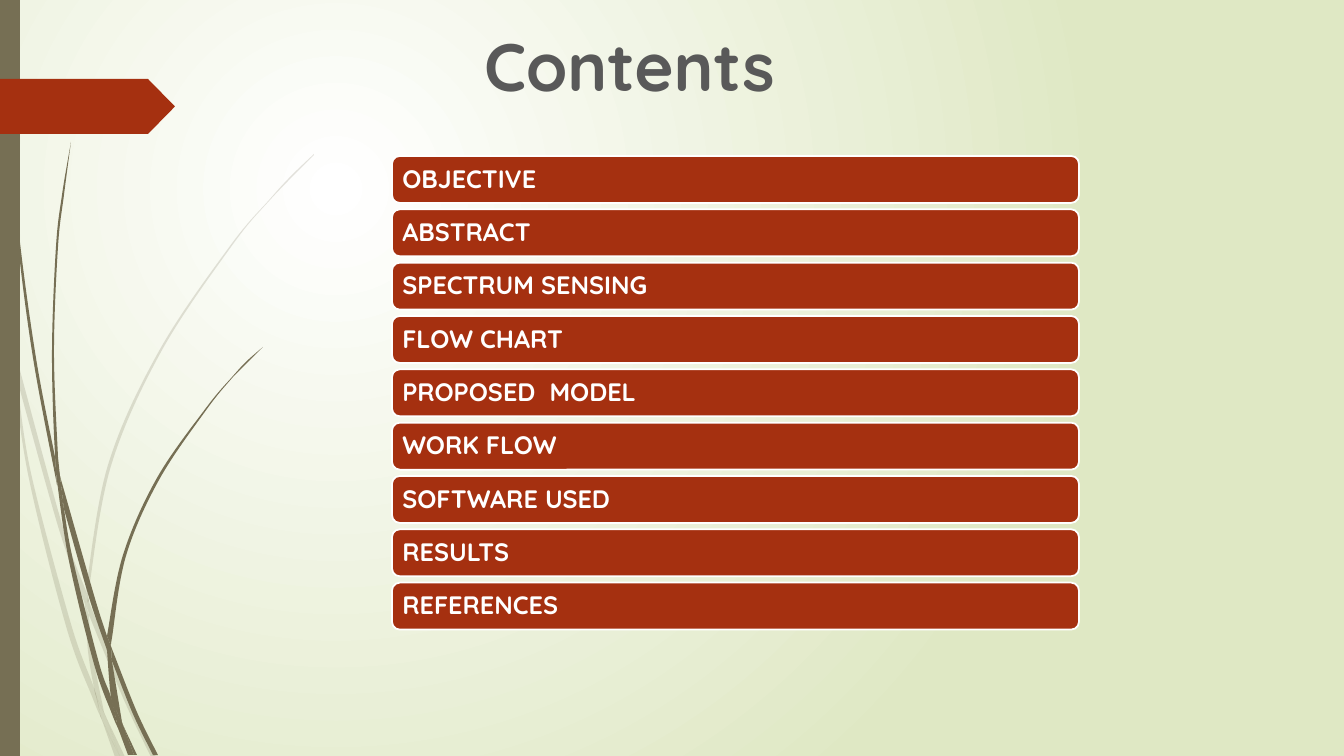
"""Build the contents slide: grass decoration, a title and nine agenda bars."""
from typing import NamedTuple

import pptx
import pptx.dml.color
import pptx.enum.shapes
import pptx.enum.text
import pptx.oxml.ns
import pptx.util
from lxml import etree

SCALE = 914400 / 100.8
FONT = "Quicksand"
OLIVE, RUST, WHITE, GREY, PALE = "766F54", "A53010", "FFFFFF", "595959", "DFE8C4"
MSO = pptx.enum.shapes.MSO_SHAPE
qn = pptx.oxml.ns.qn

Point = tuple[float, float]


class Box(NamedTuple):
    left: float
    top: float
    width: float
    height: float


class Blade(NamedTuple):
    left: list[Point]
    right: list[Point]


FAINT_BLADES = [
    Blade([(11, 353), (9, 325), (0, 284)], [(0, 301), (10, 347)]),
    Blade([(14, 348), (62, 524), (86, 591)], [(85, 604), (58, 526), (17, 379)]),
    Blade([(89, 601), (93, 612), (128, 698), (156, 757)], [(151, 757), (124, 700), (89, 615)]),
    Blade([(106, 717), (125, 757)], [(120, 757)]),
    Blade([(11, 353), (28, 474), (66, 626), (93, 699), (102, 720)],
          [(100, 713), (94, 688), (71, 624), (31, 473), (17, 379)]),
    Blade([(85, 604), (88, 651), (94, 688), (97, 698), (106, 717)],
          [(104, 712), (92, 651), (89, 615)]),
    Blade([(314, 154), (291, 176), (270, 199), (230, 246), (159, 351), (108, 465), (86, 589)],
          [(89, 601), (89, 589), (111, 466), (161, 352), (231, 247), (270, 200), (314, 155)]),
    Blade([(102, 720), (115, 757)], [(120, 757)]),
    Blade([(89, 613), (89, 601), (86, 591)], [(85, 604)]),
    Blade([(94, 688), (100, 713), (102, 720), (120, 757)], [(106, 717), (97, 698)]),
]
DARK_BLADES = [
    Blade([(3, 0), (7, 111), (17, 235), (33, 358), (57, 485)],
          [(55, 457), (36, 358), (19, 234), (8, 110), (4, 0)]),
    Blade([(60, 476), (94, 595), (107, 636)], [(107, 650), (89, 597), (64, 509)]),
    Blade([(111, 646), (114, 654), (137, 712), (158, 755)], [(153, 755), (133, 714), (112, 661)]),
    Blade([(57, 481), (69, 561), (94, 664), (112, 714), (118, 728)],
          [(117, 723), (111, 697), (99, 663), (73, 560), (64, 509)]),
    Blade([(71, 142), (62, 195), (56, 247), (52, 352), (55, 453), (60, 476)],
          [(58, 457), (54, 352), (58, 247), (64, 195), (71, 142)]),
    Blade([(123, 725), (137, 755)], [(134, 755)]),
    Blade([(55, 453), (57, 481), (64, 509)], [(60, 476)]),
    Blade([(263, 347), (247, 361), (233, 376), (206, 408), (157, 478), (123, 555), (107, 636)],
          [(111, 646), (112, 638), (126, 556), (159, 480), (207, 409), (233, 377)]),
    Blade([(118, 728), (128, 755)], [(132, 755)]),
    Blade([(107, 650), (111, 697), (117, 712), (123, 725)], [(122, 722), (112, 661)]),
    Blade([(107, 636), (107, 650), (112, 661)], [(111, 646)]),
    Blade([(111, 697), (117, 723), (118, 728), (131, 755)], [(134, 755), (123, 725), (117, 712)]),
]
TOPICS = ["OBJECTIVE", "ABSTRACT", "SPECTRUM SENSING", "FLOW CHART", "PROPOSED  MODEL",
          "WORK FLOW", "SOFTWARE USED", "RESULTS", "REFERENCES"]
FIRST_BAR = Box(392, 156, 687, 47)
BAR_PITCH = 160 / 3


def px(n: float) -> int:
    """Turn pixels into EMU."""
    return round(n * SCALE)


def rgb(code: str) -> pptx.dml.color.RGBColor:
    """Turn a hex string into a colour."""
    return pptx.dml.color.RGBColor.from_string(code)


def handles(edge: list[Point]) -> list[list[Point]]:
    """Give the two Bezier handles of each Catmull-Rom segment of an edge."""
    ends = [edge[0], *edge, edge[-1]]
    return [[(b[0] + (c[0] - a[0]) / 6, b[1] + (c[1] - a[1]) / 6),
             (c[0] - (d[0] - b[0]) / 6, c[1] - (d[1] - b[1]) / 6)]
            for a, b, c, d in zip(ends, ends[1:], ends[2:], ends[3:])]


def paint(sp, color: str, line: str | None = None) -> None:
    """Give a shape a solid fill, an optional outline and no shadow."""
    sp.shadow.inherit = False
    sp.fill.solid()
    sp.fill.fore_color.rgb = rgb(color)
    if line:
        sp.line.color.rgb = rgb(line)
        sp.line.width = pptx.util.Pt(1.25)
    else:
        sp.line.fill.background()


def add_box(slide, kind, box: Box, color: str, line: str | None = None):
    """Add a painted preset shape."""
    sp = slide.shapes.add_shape(kind, *map(px, box))
    paint(sp, color, line)
    return sp


def add_blade(slide, blade: Blade, alpha: int) -> None:
    """Add one curved piece of grass."""
    pts = [(px(x), px(y)) for x, y in blade.left + blade.right]
    fb = slide.shapes.build_freeform(*pts[0])
    fb.add_line_segments(pts[1:], close=True)
    sp = fb.convert_to_shape()
    paint(sp, OLIVE)
    bends = [*handles(blade.left), None, *handles(blade.right)]
    for seg, bend in zip(list(sp._element.iter(qn("a:lnTo"))), bends):
        if bend:
            seg.tag = qn("a:cubicBezTo")
            for i, (x, y) in enumerate(bend):
                pt = etree.Element(qn("a:pt"), x=str(px(x) - sp.left), y=str(px(y) - sp.top))
                seg.insert(i, pt)
    if alpha < 100:
        clr = sp._element.spPr.find(qn("a:solidFill")).find(qn("a:srgbClr"))
        etree.SubElement(clr, qn("a:alpha"), val=str(alpha * 1000))


def write(tf, text: str, size: int, color: str) -> None:
    """Write one bold left-aligned line."""
    p = tf.paragraphs[0]
    p.alignment = pptx.enum.text.PP_ALIGN.LEFT
    r = p.add_run()
    r.text = text
    r.font.name, r.font.size, r.font.bold = FONT, pptx.util.Pt(size), True
    r.font.color.rgb = rgb(color)


def set_background(slide) -> None:
    """Fill the background with a radial gradient."""
    fill = slide.background.fill
    fill.gradient()
    for stop, color in zip(fill.gradient_stops, (WHITE, PALE)):
        stop.color.rgb = rgb(color)
    grad = next(slide.element.iter(qn("a:gradFill")))
    grad.remove(grad.find(qn("a:lin")))
    radial = etree.SubElement(grad, qn("a:path"), {"path": "circle"})
    etree.SubElement(radial, qn("a:fillToRect"), l="50000", t="50000", r="100000", b="100000")


def add_title(slide, box: Box, text: str) -> None:
    """Move the title placeholder and write the title."""
    sp = slide.shapes.title
    sp.left, sp.top, sp.width, sp.height = map(px, box)
    tf = sp.text_frame
    tf.auto_size = pptx.enum.text.MSO_AUTO_SIZE.NONE
    tf.vertical_anchor = pptx.enum.text.MSO_ANCHOR.TOP
    write(tf, text, 48, GREY)


def add_bar(slide, box: Box, topic: str) -> None:
    """Add one agenda bar with its topic."""
    sp = add_box(slide, MSO.ROUNDED_RECTANGLE, box, RUST, WHITE)
    tf = sp.text_frame
    tf.margin_left = tf.margin_right = px(8)
    tf.margin_top, tf.margin_bottom = px(1), 0
    tf.vertical_anchor = pptx.enum.text.MSO_ANCHOR.MIDDLE
    write(tf, topic, 18, WHITE)
    tf.paragraphs[0].line_spacing = 0.9


def main() -> None:
    """Build and save the slide."""
    prs = pptx.Presentation()
    prs.slide_width, prs.slide_height = px(1344), px(756)
    slide = prs.slides.add_slide(prs.slide_layouts[5])
    set_background(slide)
    for blades, alpha in ((FAINT_BLADES, 20), (DARK_BLADES, 100)):
        for blade in blades:
            add_blade(slide, blade, alpha)
    add_box(slide, MSO.RECTANGLE, Box(0, 0, 20, 756), OLIVE)
    arrow = add_box(slide, MSO.PENTAGON, Box(0, 79, 175, 55), RUST)
    arrow.adjustments[0] = 0.49
    for i, topic in enumerate(TOPICS):
        add_bar(slide, FIRST_BAR._replace(top=FIRST_BAR.top + i * BAR_PITCH), topic)
    add_title(slide, Box(474, 19, 409, 138), "Contents")
    prs.save("out.pptx")


main()
